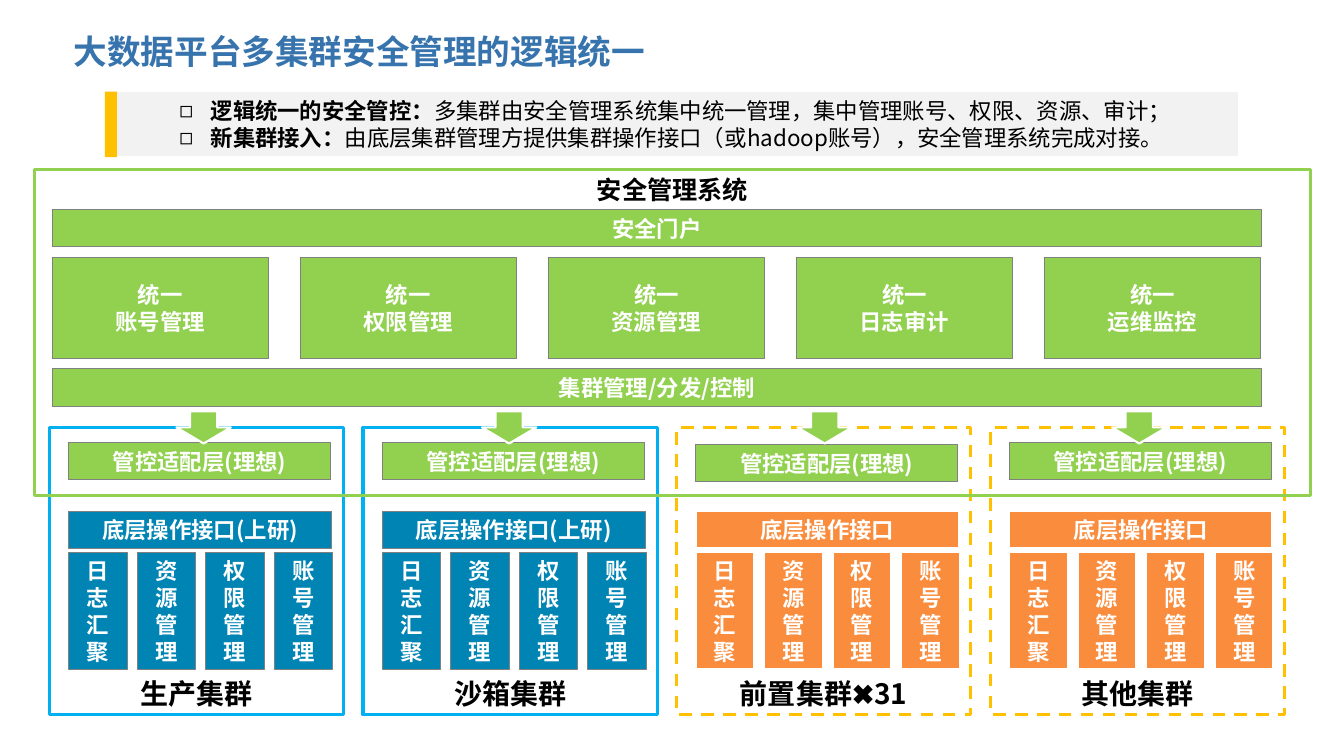
from dataclasses import dataclass
from typing import Optional

from lxml.etree import SubElement
from pptx import Presentation
from pptx.dml.color import RGBColor
from pptx.enum.dml import MSO_LINE as Dash
from pptx.enum.shapes import MSO_SHAPE as Kind
from pptx.enum.text import MSO_ANCHOR as Anchor, MSO_AUTO_SIZE as Fit, PP_ALIGN as Align
from pptx.oxml.ns import qn
from pptx.util import Inches, Pt


@dataclass(frozen=True)
class Theme:
    font: str = "Noto Sans CJK SC"
    title: str = "3773AC"
    black: str = "000000"
    white: str = "FFFFFF"
    pale: str = "F2F2F2"
    gold: str = "FFC000"
    green: str = "92D050"
    sky: str = "00B0F0"
    blue: str = "0084B4"
    orange: str = "FA8D3D"
    gray: str = "808080"
    head: int = 24
    name: int = 20
    system: int = 18
    body: int = 16
    lead: float = 1.2


@dataclass(frozen=True)
class Look:
    fill: Optional[str]
    line: Optional[str]
    width: float = 0.75
    dash: bool = False


@dataclass(frozen=True)
class Box:
    left: float
    top: float
    width: float
    height: float


@dataclass(frozen=True)
class Cluster:
    name: str
    link: str
    arrow: float
    adapt: float
    frame: Look
    tone: Look


T = Theme()
GREEN = Look(T.green, T.gray)
ARROW = Look(T.green, T.white, 1.5)
LIVE = Look(T.white, T.sky, 2.25)
PLAN = Look(T.white, T.gold, 2.25, True)
BLUE = Look(T.blue, T.gray)
ORANGE = Look(T.orange, T.white, 1.5)

CLUSTERS = [
    Cluster("生产集群", "底层操作接口(上研)", 1.75, 4.39, LIVE, BLUE),
    Cluster("沙箱集群", "底层操作接口(上研)", 4.78, 4.39, LIVE, BLUE),
    Cluster("前置集群✖31", "底层操作接口", 7.91, 4.41, PLAN, ORANGE),
    Cluster("其他集群", "底层操作接口", 11.03, 4.39, PLAN, ORANGE),
]
DUTIES = ["日志汇聚", "资源管理", "权限管理", "账号管理"]
MODULES = ["账号管理", "权限管理", "资源管理", "日志审计", "运维监控"]
POINTS = [
    ("逻辑统一的安全管控：", "多集群由安全管理系统集中统一管理，集中管理账号、权限、资源、审计；"),
    ("新集群接入：", "由底层集群管理方提供集群操作接口（或hadoop账号），安全管理系统完成对接。"),
]


def place(shape, box: Box) -> None:
    shape.left, shape.top = Inches(box.left), Inches(box.top)
    shape.width, shape.height = Inches(box.width), Inches(box.height)


def paint(shape, look: Look) -> None:
    if look.fill:
        shape.fill.solid()
        shape.fill.fore_color.rgb = RGBColor.from_string(look.fill)
    else:
        shape.fill.background()
    if look.line:
        shape.line.color.rgb = RGBColor.from_string(look.line)
        shape.line.width = Pt(look.width)
        if look.dash:
            shape.line.dash_style = Dash.DASH
    else:
        shape.line.fill.background()


def write(shape, paras: list, *, size: int = T.body, color: str = T.white,
          align: Align = Align.CENTER, anchor: Anchor = Anchor.MIDDLE,
          left: float = 0.1, bullet: str = "") -> None:
    """Each paragraph is a tuple of runs; the first run is bold."""
    frame = shape.text_frame
    frame.word_wrap, frame.auto_size = True, Fit.NONE
    frame.vertical_anchor, frame.margin_left = anchor, Inches(left)
    for i, runs in enumerate(paras):
        para = frame.add_paragraph() if i else frame.paragraphs[0]
        para.alignment = align
        para.space_before = Pt(0)
        para.line_spacing = Pt(size * T.lead)
        if bullet:
            props = para._p.get_or_add_pPr()
            props.set("marL", str(Inches(0.31)))
            props.set("indent", str(-Inches(0.31)))
            SubElement(props, qn("a:buChar")).set("char", bullet)
        for j, text in enumerate(runs):
            run = para.add_run()
            run.text = text
            font = run.font
            font.name, font.size, font.bold = T.font, Pt(size), j == 0
            font.color.rgb = RGBColor.from_string(color)
            SubElement(run._r.get_or_add_rPr(), qn("a:ea")).set("typeface", T.font)


def draw(slide, box: Box, look: Look, kind: Kind = Kind.ROUNDED_RECTANGLE):
    shape = slide.shapes.add_shape(kind, 0, 0, 0, 0)
    place(shape, box)
    if kind == Kind.ROUNDED_RECTANGLE:
        shape.adjustments[0] = 0
    shape.shadow.inherit = False
    paint(shape, look)
    return shape


def label(slide, box: Box, look: Look, *lines: str) -> None:
    write(draw(slide, box, look), [(line,) for line in lines])


def cluster(slide, left: float, item: Cluster) -> None:
    frame = draw(slide, Box(left, 4.24, 2.92, 2.85), item.frame, Kind.RECTANGLE)
    write(frame, [(item.name,)], size=T.name, color=T.black, anchor=Anchor.BOTTOM)
    inner = left + 0.19
    label(slide, Box(inner, item.adapt, 2.6, 0.37), GREEN, "管控适配层(理想)")
    label(slide, Box(inner, 5.07, 2.61, 0.37), item.tone, item.link)
    for i, duty in enumerate(DUTIES):
        label(slide, Box(inner + i * 0.68, 5.48, 0.58, 1.16), item.tone, duty)
    draw(slide, Box(item.arrow, 4.08, 0.54, 0.32), ARROW, Kind.DOWN_ARROW)


def header(slide) -> None:
    title, body = slide.shapes.title, slide.placeholders[1]
    place(title, Box(0.63, 0.19, 7.92, 0.63))
    write(title, [("大数据平台多集群安全管理的逻辑统一",)], size=T.head,
          color=T.title, align=Align.LEFT)
    place(body, Box(1.15, 0.9, 11.14, 0.66))
    paint(body, Look(T.pale, T.white, 2))
    write(body, POINTS, color=T.black, align=Align.LEFT, left=0.63, bullet="◻")
    draw(slide, Box(1.04, 0.91, 0.12, 0.65), Look(T.gold, None), Kind.RECTANGLE)


def main() -> None:
    deck = Presentation()
    deck.slide_width, deck.slide_height = Inches(13.33), Inches(7.5)
    slide = deck.slides.add_slide(deck.slide_layouts[1])
    header(slide)
    for i, item in enumerate(CLUSTERS):
        cluster(slide, 0.49 + i * 3.11, item)
    for top, text in ((2.08, "安全门户"), (3.66, "集群管理/分发/控制")):
        label(slide, Box(0.52, top, 11.99, 0.37), GREEN, text)
    for i, name in enumerate(MODULES):
        label(slide, Box(0.52 + i * 2.46, 2.55, 2.14, 1.01), GREEN, "统一", name)
    system = draw(slide, Box(0.34, 1.68, 12.66, 3.24), Look(None, T.green, 2.25))
    write(system, [("安全管理系统",)], size=T.system, color=T.black, anchor=Anchor.TOP)
    deck.save("out.pptx")


if __name__ == "__main__":
    main()
